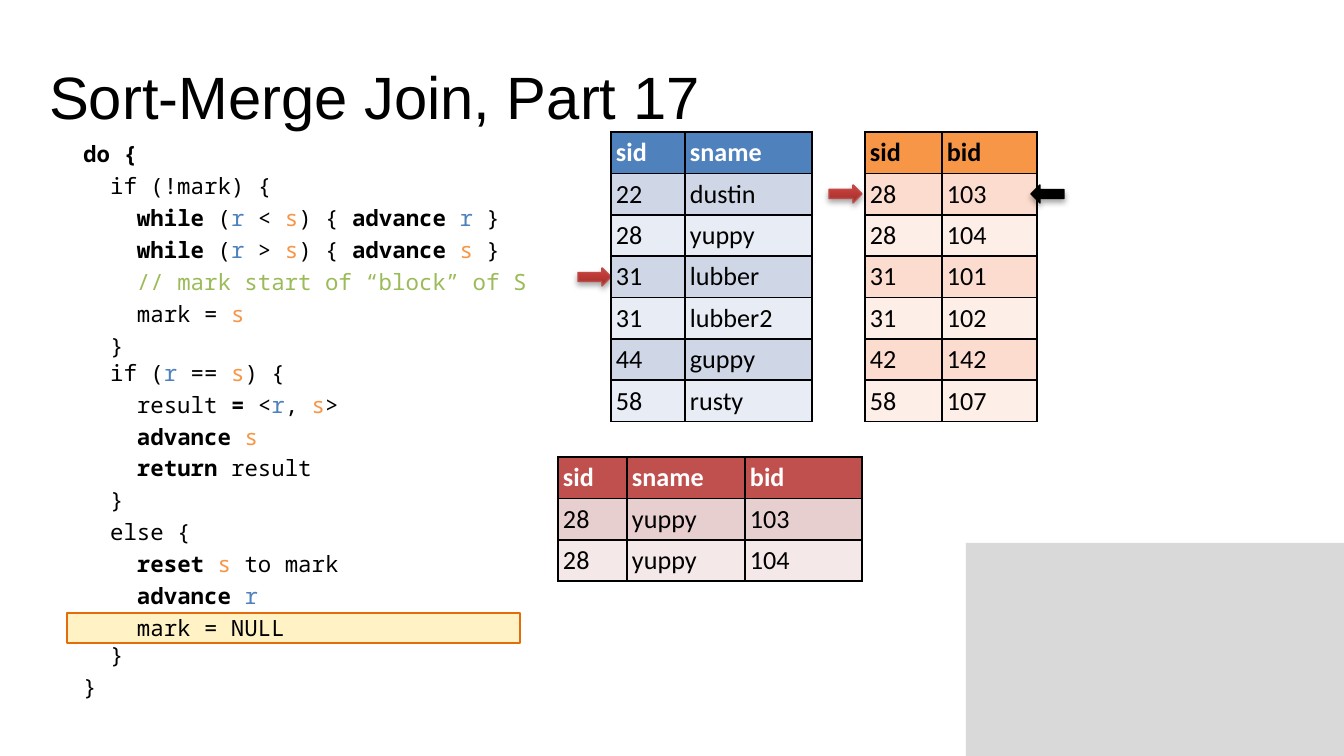
import pptx
import pptx.dml.color
import pptx.enum.shapes
import pptx.oxml
import pptx.oxml.ns
import pptx.util

PX = 914400 / 134.4
SHAPES = pptx.enum.shapes.MSO_SHAPE
NAMESPACE = pptx.oxml.ns.nsdecls("a")
BLACK, WHITE, BLUE, ORANGE, GREEN = "000000", "FFFFFF", "4F81BD", "F79646", "9BBB59"
RED_STOPS = [(0, "9A2F2C"), (80, "CA3E3A"), (100, "CE3B37")]

# Pieces are split by "|": r and s are the cursors, "*" starts a bold piece.
CODE = [
    "*do {",
    "  if (!mark) {",
    "    |*while| (|r| < |s|) { |*advance |r| }",
    "    |*while| (|r| > |s|) { |*advance |s| }",
    "    |// mark start of “block” of S",
    "    mark = |s",
    "  }\n  if (|r| == |s|) {",
    "    result|* =| <|r|, |s|>",
    "    |*advance |s",
    "    |*return |result",
    "  }",
    "  else {",
    "    |*reset |s| to mark",
    "    |*advance |r",
    "    mark = NULL\n  }",
    "}",
]

SAILORS = [("sid", "sname"), ("22", "dustin"), ("28", "yuppy"), ("31", "lubber"),
           ("31", "lubber2"), ("44", "guppy"), ("58", "rusty")]
RESERVES = [("sid", "bid"), ("28", "103"), ("28", "104"), ("31", "101"),
            ("31", "102"), ("42", "142"), ("58", "107")]
RESULT = [("sid", "sname", "bid"), ("28", "yuppy", "103"), ("28", "yuppy", "104")]


def px(length):
    return pptx.util.Emu(round(length * PX))


def color(value):
    return pptx.dml.color.RGBColor.from_string(value)


def set_font(font, name, size, value, bold=False):
    font.name = name
    font.size = pptx.util.Pt(size)
    font.color.rgb = color(value)
    font.bold = bold


def add_shape(slide, kind, left, top, width, height, fill, line=None, weight=1):
    shape = slide.shapes.add_shape(kind, px(left), px(top), px(width), px(height))
    shape.shadow.inherit = False
    shape.fill.solid()
    shape.fill.fore_color.rgb = color(fill)
    if line:
        shape.line.color.rgb = color(line)
        shape.line.width = pptx.util.Pt(weight)
    else:
        shape.line.fill.background()
    return shape


def add_text_box(slide, left, top, width, height):
    box = slide.shapes.add_textbox(px(left), px(top), px(width), px(height))
    box.text_frame.word_wrap = True
    return box.text_frame


def add_arrow(slide, left, top, line, stops=None, rotation=0):
    """Add a cursor arrow with a soft shadow and, given stops, a vertical gradient."""
    arrow = add_shape(slide, SHAPES.RIGHT_ARROW, left, top, 33, 18, line, line, 0.75)
    arrow.rotation = rotation
    properties = arrow._element.spPr
    if stops:
        stop_xml = "".join(
            f'<a:gs pos="{position * 1000}"><a:srgbClr val="{value}"/></a:gs>'
            for position, value in stops)
        gradient = pptx.oxml.parse_xml(
            f'<a:gradFill {NAMESPACE}><a:gsLst>{stop_xml}</a:gsLst>'
            '<a:lin ang="16200000" scaled="0"/></a:gradFill>')
        solid = properties.find(pptx.oxml.ns.qn("a:solidFill"))
        properties.replace(solid, gradient)
    effects = properties.find(pptx.oxml.ns.qn("a:effectLst"))
    effects.append(pptx.oxml.parse_xml(
        f'<a:outerShdw {NAMESPACE} blurRad="38100" dist="22860" dir="5400000" rotWithShape="0">'
        '<a:srgbClr val="000000"><a:alpha val="35000"/></a:srgbClr></a:outerShdw>'))


def add_borders(cell):
    properties = cell._tc.get_or_add_tcPr()
    for side in "LRTB":
        properties.append(pptx.oxml.parse_xml(
            f'<a:ln{side} {NAMESPACE} w="12700"><a:solidFill>'
            f'<a:srgbClr val="{BLACK}"/></a:solidFill></a:ln{side}>'))


def add_table(slide, left, top, widths, rows, header_fill, header_color, bands):
    row_height = 41
    frame = slide.shapes.add_table(len(rows), len(widths), px(left), px(top),
                                   px(sum(widths)), px(row_height * len(rows)))
    table = frame.table
    table.horz_banding = False
    for column, width in zip(table.columns, widths):
        column.width = px(width)
    for row_index, values in enumerate(rows):
        header = row_index == 0
        table.rows[row_index].height = px(row_height)
        for column_index, value in enumerate(values):
            cell = table.cell(row_index, column_index)
            cell.margin_left = cell.margin_right = px(5)
            cell.margin_top = cell.margin_bottom = px(5)
            add_borders(cell)
            cell.fill.solid()
            cell.fill.fore_color.rgb = color(
                header_fill if header else bands[(row_index - 1) % 2])
            cell.text = value
            set_font(cell.text_frame.paragraphs[0].font, "Calibri", 14,
                     header_color if header else BLACK, header)


def add_code_piece(paragraph, piece):
    value = {"r": BLUE, "s": ORANGE}.get(piece, BLACK)
    if piece.startswith("//"):
        value = GREEN
    for index, text in enumerate(piece.removeprefix("*").split("\n")):
        if index:
            paragraph.add_line_break()
        run = paragraph.add_run()
        run.text = text
        set_font(run.font, "Noto Sans Mono", 12, value, piece.startswith("*"))


def add_code(slide):
    frame = add_text_box(slide, 70, 134, 1274, 384)
    for index, line in enumerate(CODE):
        paragraph = frame.add_paragraph() if index else frame.paragraphs[0]
        if index:
            paragraph.space_before = pptx.util.Pt(2.7)
        for piece in line.split("|"):
            add_code_piece(paragraph, piece)


def add_title(slide, text):
    frame = add_text_box(slide, 36, 46, 1106, 168)
    frame.margin_top = px(14)
    frame.text = text
    set_font(frame.paragraphs[0].font, "Arial", 32, BLACK)


def main():
    presentation = pptx.Presentation()
    presentation.slide_width = px(1344)
    presentation.slide_height = px(756)
    slide = presentation.slides.add_slide(presentation.slide_layouts[6])

    add_shape(slide, SHAPES.RECTANGLE, 966, 543, 378, 213, "D9D9D9")
    add_title(slide, "Sort-Merge Join, Part 17")
    add_shape(slide, SHAPES.RECTANGLE, 67, 613, 453, 30, "FFF2C5", "E46C0A")
    add_arrow(slide, 578, 268, "BE4B48", RED_STOPS)
    add_table(slide, 611, 132, [74, 127], SAILORS, BLUE, WHITE, ["CFD7E7", "E8ECF4"])
    add_table(slide, 865, 132, [77, 95], RESERVES, ORANGE, BLACK, ["FCDCCE", "FDEEE8"])
    add_arrow(slide, 829, 185, "BE4B48", RED_STOPS)
    add_code(slide)
    add_arrow(slide, 1031, 185, BLACK, rotation=180)
    add_table(slide, 558, 457, [69, 118, 117], RESULT, "C0504D", WHITE, ["E8CFCF", "F4E8E8"])
    presentation.save("out.pptx")


if __name__ == "__main__":
    main()
